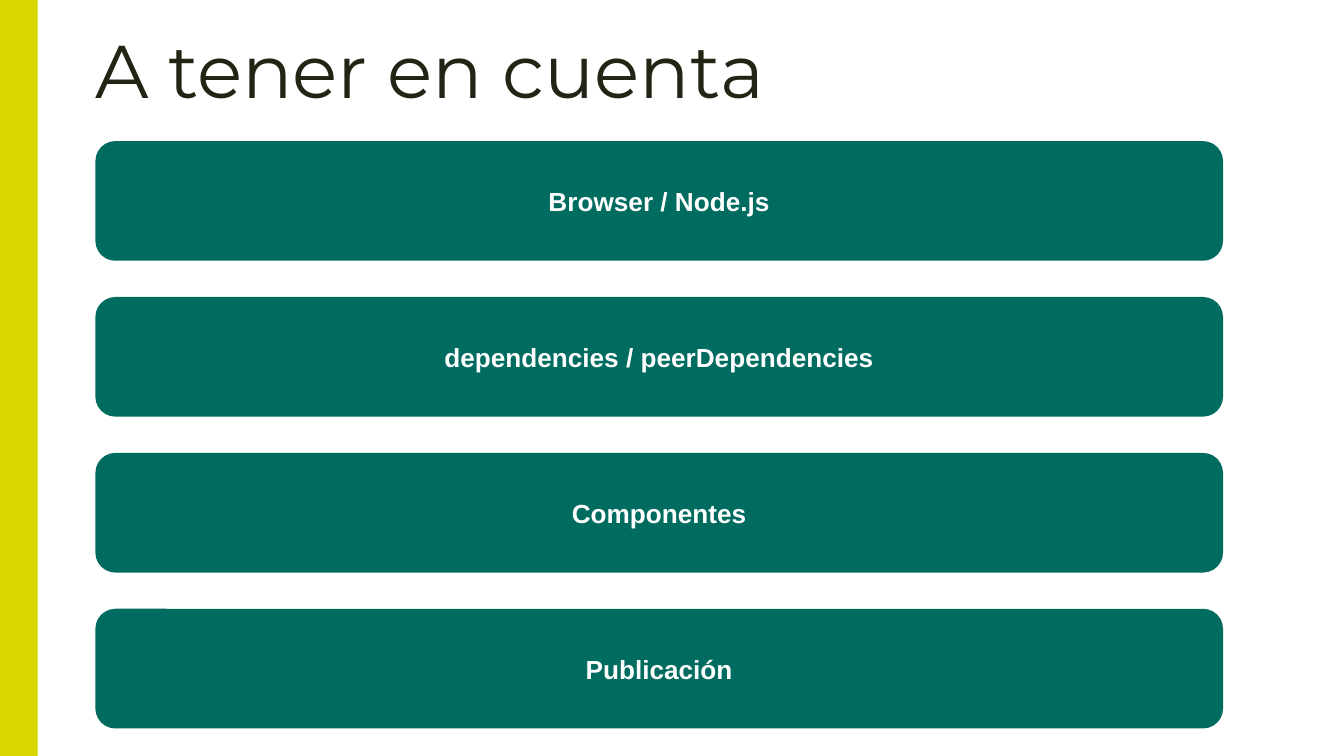
"""Build the "A tener en cuenta" slide: a title above four stacked topic bars."""
from dataclasses import dataclass

from pptx import Presentation
from pptx.dml.color import RGBColor
from pptx.enum.shapes import MSO_SHAPE as Shape
from pptx.enum.text import MSO_ANCHOR as Anchor, PP_ALIGN as Align
from pptx.util import Inches, Pt

HEADING = "A tener en cuenta"
TOPICS = [
    "Browser / Node.js",
    "dependencies / peerDependencies",
    "Componentes",
    "Publicación",
]


@dataclass(frozen=True)
class Theme:
    ink: str = "242415"
    accent: str = "D8D800"
    bar: str = "006B5F"
    bar_text: str = "FFFFFF"
    heading_font: str = "Montserrat"
    topic_font: str = "Arial"
    heading_size: int = 40
    topic_size: int = 14


THEME = Theme()
SLIDE_W = 10
SLIDE_H = SLIDE_W * 9 / 16
STRIPE_W = 0.28
LEFT, BAR_W, BAR_H = 0.71, 8.39, 0.89
FIRST_ROW, ROW_STEP = 1.05, 1.16
HEADING_W, HEADING_H = 9.02, 0.89


def add_block(slide, kind, left, top, width, height, color):
    block = slide.shapes.add_shape(kind, *map(Inches, (left, top, width, height)))
    block.shadow.inherit = False
    block.fill.solid()
    block.fill.fore_color.rgb = RGBColor.from_string(color)
    block.line.fill.background()
    return block


def write(frame, wording, font, size, color, align, anchor, bold=False):
    frame.word_wrap = True
    frame.vertical_anchor = anchor
    line = frame.paragraphs[0]
    line.text = wording
    line.alignment = align
    line.font.name = font
    line.font.size = Pt(size)
    line.font.bold = bold
    line.font.color.rgb = RGBColor.from_string(color)


def main():
    deck = Presentation()
    deck.slide_width, deck.slide_height = Inches(SLIDE_W), Inches(SLIDE_H)
    slide = deck.slides.add_slide(deck.slide_layouts[6])

    heading = slide.shapes.add_textbox(
        Inches(LEFT), 0, Inches(HEADING_W), Inches(HEADING_H)
    ).text_frame
    heading.margin_left = 0
    write(heading, HEADING, THEME.heading_font, THEME.heading_size,
          THEME.ink, Align.LEFT, Anchor.BOTTOM)

    add_block(slide, Shape.RECTANGLE, 0, 0, STRIPE_W, SLIDE_H, THEME.accent)

    for row, topic in enumerate(TOPICS):
        bar = add_block(slide, Shape.ROUNDED_RECTANGLE, LEFT,
                        FIRST_ROW + row * ROW_STEP, BAR_W, BAR_H, THEME.bar)
        write(bar.text_frame, topic, THEME.topic_font, THEME.topic_size,
              THEME.bar_text, Align.CENTER, Anchor.MIDDLE, bold=True)

    deck.save("out.pptx")


if __name__ == "__main__":
    main()
